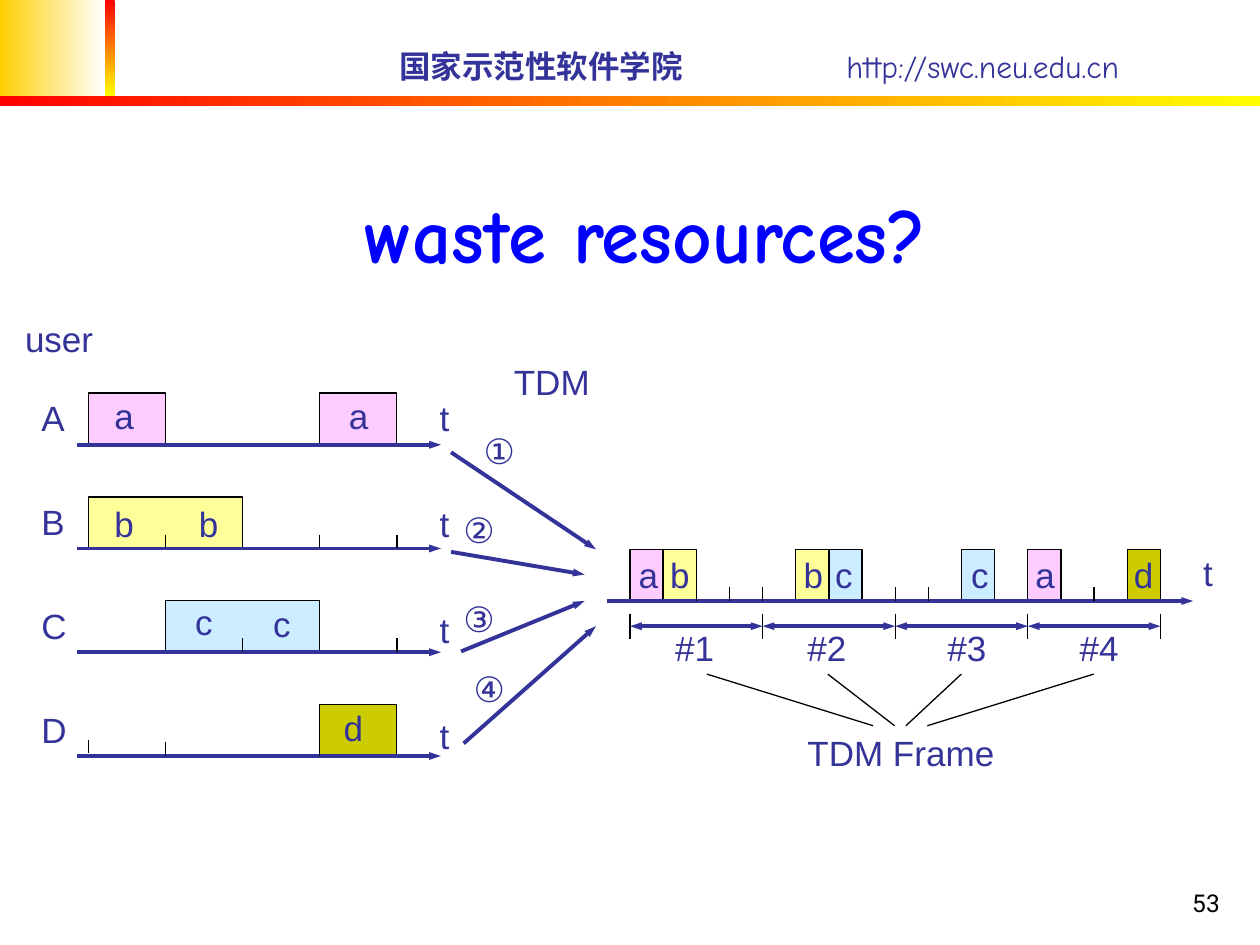
"""Build the slide on wasted time slots in synchronous TDM."""
from lxml import etree
from pptx import Presentation
from pptx.dml.color import RGBColor
from pptx.enum import shapes as es, text as et
from pptx.oxml.ns import qn
from pptx.util import Inches, Pt

NAVY = RGBColor(0x33, 0x33, 0x99)
BLUE = RGBColor(0x00, 0x00, 0xFF)
BLACK = RGBColor(0x00, 0x00, 0x00)
WHITE = RGBColor(0xFF, 0xFF, 0xFF)
GOLD = RGBColor(0xFF, 0xCF, 0x01)
RED = RGBColor(0xFF, 0x00, 0x00)
YELLOW = RGBColor(0xFF, 0xFF, 0x00)
PINK = RGBColor(0xFF, 0xCC, 0xFF)
CREAM = RGBColor(0xFF, 0xFF, 0x99)
SKY = RGBColor(0xCC, 0xEC, 0xFF)
OLIVE = RGBColor(0xCC, 0xCC, 0x00)

deck = Presentation()
deck.slide_width, deck.slide_height = Inches(10), Inches(7.5)
slide = deck.slides.add_slide(deck.slide_layouts[5])
items = slide.shapes


def note(x, y, w, words, h=0.43, color=NAVY, **extra):
    box = items.add_textbox(Inches(x), Inches(y), Inches(w), Inches(h))
    frame = box.text_frame
    frame.word_wrap = False
    frame.auto_size = et.MSO_AUTO_SIZE.SHAPE_TO_FIT_TEXT
    run = frame.paragraphs[0].add_run()
    run.text = words
    for key, val in {"name": "Arial", "size": Pt(20), **extra}.items():
        setattr(run.font, key, val)
    run.font.color.rgb = color
    return frame


def rule(x1, y1, x2, y2, ends=(), color=BLACK, width=0.75):
    line = items.add_connector(es.MSO_CONNECTOR.STRAIGHT, Inches(x1), Inches(y1), Inches(x2), Inches(y2))
    line.line.color.rgb = color
    line.line.width = Pt(width)
    props = line.element.spPr
    for end in ends:
        etree.SubElement(props.find(qn("a:ln")), qn(f"a:{end}End"), type="triangle", w="sm", len="med")
    etree.SubElement(props, qn("a:effectLst"))


for x, y, w, h, start, stop, angle in [
    (0, 0, 0.83, 0.76, GOLD, WHITE, 0),
    (0.83, 0, 0.08, 0.76, RED, YELLOW, 270),
    (0, 0.76, 10, 0.08, RED, YELLOW, 0),
]:
    band = items.add_shape(es.MSO_SHAPE.RECTANGLE, Inches(x), Inches(y), Inches(w), Inches(h))
    band.shadow.inherit = False
    band.line.fill.background()
    band.fill.gradient()
    band.fill.gradient_angle = angle
    for mark, tone in zip(band.fill.gradient_stops, (start, stop)):
        mark.color.rgb = tone

head = note(3.07, 0.32, 6.7, "国家示范性软件学院", 0.4, name="Comic Neue", size=Pt(18), bold=True)
head.word_wrap = True
head.vertical_anchor = et.MSO_ANCHOR.MIDDLE
para = head.paragraphs[0]
tabs = etree.SubElement(para._p.get_or_add_pPr(), qn("a:tabLst"))
etree.SubElement(tabs, qn("a:tab"), pos=str(Inches(3.55)), algn="l")
site = para.add_run()
site.text = "\thttp://swc.neu.edu.cn"
for key, val in {"name": "Comic Neue", "size": Pt(18), "bold": False}.items():
    setattr(site.font, key, val)
site.font.color.rgb = NAVY

page = note(7.7, 6.83, 2.08, "53", 0.5, BLACK, name="Roboto", size=Pt(14))
for key, val in {"word_wrap": True, "auto_size": et.MSO_AUTO_SIZE.NONE,
                 "vertical_anchor": et.MSO_ANCHOR.BOTTOM}.items():
    setattr(page, key, val)
page.paragraphs[0].alignment = et.PP_ALIGN.RIGHT

title = slide.shapes.title
for key, val in {"left": 0.4, "top": 0.66, "width": 9.45, "height": 1.6}.items():
    setattr(title, key, Inches(val))
title.text_frame.text = "waste resources?"
title.text_frame.auto_size = et.MSO_AUTO_SIZE.NONE
title.text_frame.vertical_anchor = et.MSO_ANCHOR.BOTTOM
title.text_frame.paragraphs[0].alignment = et.PP_ALIGN.CENTER
face = title.text_frame.paragraphs[0].runs[0].font
for key, val in {"name": "Comic Neue", "size": Pt(44), "bold": True}.items():
    setattr(face, key, val)
face.color.rgb = BLUE

cols = [0.7 + 2.45 * n / 4 for n in range(5)]
rows = [3.53 + 2.47 * n / 3 for n in range(4)]
slots = [5 + 4.21 * n / 16 for n in range(17)]
base = 4.77

blocks = [(cols[a], cols[b], rows[r], tone) for a, b, r, tone in [
    (0, 1, 0, PINK), (3, 4, 0, PINK), (0, 2, 1, CREAM), (1, 3, 2, SKY), (3, 4, 3, OLIVE)]]
blocks += [(slots[n], slots[n + 1], base, tone) for n, tone in [
    (0, PINK), (1, CREAM), (5, CREAM), (6, SKY), (10, SKY), (12, PINK), (15, OLIVE)]]
for x1, x2, y, tone in blocks:
    pen = items.build_freeform(Inches(x1), Inches(y), scale=1.0)
    pen.add_line_segments([(Inches(x1), Inches(y - 0.41)), (Inches(x2), Inches(y - 0.41)),
                           (Inches(x2), Inches(y))], close=False)
    block = pen.convert_to_shape()
    block.shadow.inherit = False
    block.fill.solid()
    block.fill.fore_color.rgb = tone
    block.line.color.rgb = BLACK
    block.line.width = Pt(0.75)

for n, name in enumerate("ABCD"):
    note(0.23, rows[n] - 0.43, 0.4, name)
    note(3.39, 3.1 + 0.84 * n, 0.28, "t")
    rule(0.61, rows[n], 3.5, rows[n], ["tail"], NAVY, 2.25)
rule(4.82, base, 9.47, base, ["tail"], NAVY, 2.25)

for x, y, w, words in [
    (0.1, 2.47, 0.75, "user"), (3.98, 2.81, 0.81, "TDM"), (6.31, 5.76, 1.7, "TDM Frame"),
    (0.81, 3.08, 0.36, "a"), (2.67, 3.08, 0.36, "a"), (0.81, 3.94, 0.36, "b"),
    (1.48, 3.94, 0.36, "b"), (1.45, 4.72, 0.34, "c"), (2.07, 4.73, 0.34, "c"),
    (2.63, 5.56, 0.36, "d"), (9.45, 4.33, 0.28, "t"),
    (4.97, 4.34, 0.36, "a"), (5.22, 4.34, 0.36, "b"), (6.28, 4.34, 0.36, "b"),
    (6.53, 4.34, 0.34, "c"), (7.61, 4.34, 0.34, "c"), (8.12, 4.34, 0.36, "a"),
    (8.9, 4.34, 0.36, "d"),
    (3.74, 3.36, 0.48, "①"), (3.58, 3.99, 0.48, "②"),
    (3.58, 4.69, 0.48, "③"), (3.66, 5.25, 0.48, "④"),
    (5.26, 4.92, 0.51, "#1"), (6.31, 4.92, 0.51, "#2"),
    (7.42, 4.92, 0.51, "#3"), (8.47, 4.92, 0.51, "#4"),
]:
    note(x, y, w, words)

ticks = [(cols[c], rows[r]) for c, r in [(1, 1), (3, 1), (4, 1), (2, 2), (4, 2), (1, 3), (3, 3)]]
ticks += [(cols[0], 5.98)] + [(slots[n], base) for n in (2, 3, 4, 8, 9, 14)]
for x, y in ticks:
    rule(x, y - 0.11, x, y)

edges = slots[::4]
for x in edges:
    rule(x, 4.87, x, 5.07)
for x1, x2 in zip(edges, edges[1:]):
    rule(x1, 4.97, x2, 4.97, ["head", "tail"], NAVY, 2.25)

for ends in [(3.58, 3.59, 4.73, 4.36), (3.58, 4.38, 4.64, 4.56),
             (3.66, 5.17, 4.64, 4.77), (3.68, 5.9, 4.73, 4.97)]:
    rule(*ends, ["tail"], NAVY, 2.25)
for x1, x2 in [(5.61, 6.93), (6.57, 7.1), (7.63, 7.19), (8.68, 7.36)]:
    rule(x1, 5.35, x2, 5.76)

deck.save("out.pptx")
